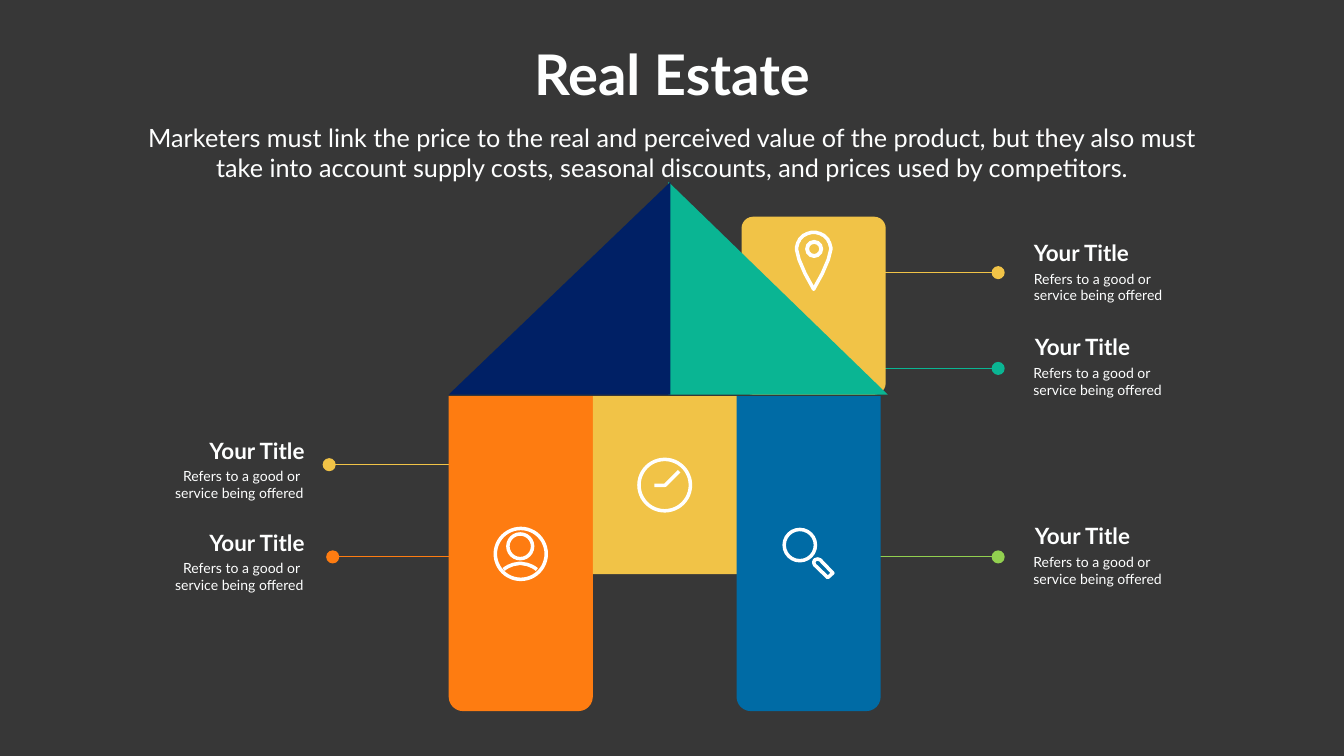
from dataclasses import dataclass
from math import cos, radians, sin

from pptx import Presentation
from pptx.dml.color import RGBColor
from pptx.enum.shapes import MSO_CONNECTOR, MSO_SHAPE
from pptx.enum.text import MSO_ANCHOR, MSO_AUTO_SIZE, PP_ALIGN
from pptx.oxml.ns import qn
from pptx.util import Pt
from lxml.etree import SubElement

PX = 9144  # 100 px to the inch
STROKE = 7
HEX = {"back": "373737", "white": "FEFFFF", "icon": "FFFFFF", "gold": "F1C347",
       "teal": "0AB593", "lime": "92D050", "orange": "FE7C11",
       "blue": "006BA5", "navy": "002065"}
FONTS = {
    "title": {"name": "Lato", "size": Pt(80), "bold": True},
    "intro": {"name": "Lato", "size": Pt(36), "bold": False},
    "head": {"name": "Lato", "size": Pt(32), "bold": True},
    "body": {"name": "Lato", "size": Pt(20), "bold": False},
}
INTRO = ("Marketers must link the price to the real and perceived value of the "
         "product, but they also must take into account supply costs, seasonal "
         "discounts, and prices used by competitors.")


@dataclass
class Note:
    """A label, with the dot and line that tie it to the house."""
    color: str
    wall: int
    dot: int
    level: int
    head: int
    body: int
    top: int
    align: PP_ALIGN = PP_ALIGN.LEFT


@dataclass
class Block:
    kind: MSO_SHAPE
    color: str
    box: tuple[int, int, int, int]
    curves: tuple[float, ...] = ()
    flip: bool = False


@dataclass
class Path:
    """A white stroke of an icon."""
    points: list[tuple[int, int]]
    close: bool = False


def arc(x: int, y: int, radius: int, start: int, end: int) -> list[tuple[int, int]]:
    """Points on a circle; 0 degrees is right and 90 is up."""
    return [(round(x + radius * cos(radians(a))), round(y - radius * sin(radians(a))))
            for a in range(start, end + 1, 6)]


def ring(x: int, y: int, size: int, width: int = STROKE) -> Block:
    return Block(MSO_SHAPE.DONUT, "icon", (x, y, size, size), (width / size,))


NOTES = [
    Note("gold", 1629, 1980, 541, 2041, 2041, 470),
    Note("gold", 1223, 653, 922, 384, 335, 862, PP_ALIGN.RIGHT),
    Note("teal", 1629, 1980, 731, 2043, 2040, 657),
    Note("lime", 1629, 1980, 1105, 2043, 2040, 1032),
    Note("orange", 1011, 660, 1105, 384, 335, 1045, PP_ALIGN.RIGHT),
]
WALLS = [
    Block(MSO_SHAPE.ROUND_2_SAME_RECTANGLE, "orange", (890, 786, 286, 625), (0, 0.1)),
    Block(MSO_SHAPE.RECTANGLE, "gold", (1176, 786, 286, 353)),
    Block(MSO_SHAPE.ROUNDED_RECTANGLE, "gold", (1471, 430, 286, 353), (0.08,)),
    Block(MSO_SHAPE.ROUND_2_SAME_RECTANGLE, "blue", (1461, 786, 286, 625), (0, 0.1)),
]
RINGS = [
    ring(979, 1045, 108), ring(1004, 1056, 56),  # person
    ring(1264, 908, 109),  # clock
    ring(1552, 1047, 69),  # lens
    ring(1597, 476, 36, 8),  # pin
]
PATHS = [
    Path(arc(1032, 1171, 53, 51, 129)),  # shoulders
    Path([(1298, 963), (1319, 963), (1347, 935)]),  # clock hands
    Path([(1616, 1111), (1622, 1109), (1627, 1111), (1652, 1137),
          (1642, 1146), (1616, 1121), (1614, 1116)], True),  # lens handle
    Path(arc(1614, 495, 34, 0, 180)
         + [(1585, 515), (1597, 543), (1614, 574), (1631, 543), (1643, 515)], True),
]
ROOF = [
    Block(MSO_SHAPE.RIGHT_TRIANGLE, "teal", (1326, 361, 435, 422)),
    Block(MSO_SHAPE.RIGHT_TRIANGLE, "navy", (890, 361, 440, 422), flip=True),
]


def tint(name: str) -> RGBColor:
    return RGBColor.from_string(HEX[name])


def place(shape, box: tuple[int, int, int, int]) -> None:
    for name, value in zip(("left", "top", "width", "height"), box):
        setattr(shape, name, value * PX)


def write(shape, lines: list[str], style: str, align: PP_ALIGN, wrap: bool = True) -> None:
    frame = shape.text_frame
    frame.text = "\n".join(lines)
    setup = {"word_wrap": wrap, "vertical_anchor": MSO_ANCHOR.TOP,
             "auto_size": MSO_AUTO_SIZE.SHAPE_TO_FIT_TEXT}
    for name, value in setup.items():
        setattr(frame, name, value)
    for para in frame.paragraphs:
        para.alignment = align
        font = para.runs[0].font
        for name, value in FONTS[style].items():
            setattr(font, name, value)
        font.color.rgb = tint("white")


def add_text(slide, box: tuple[int, int, int, int], lines: list[str],
             style: str, align: PP_ALIGN) -> None:
    shape = slide.shapes.add_textbox(0, 0, 0, 0)
    place(shape, box)
    write(shape, lines, style, align)


def add_block(slide, block: Block) -> None:
    shape = slide.shapes.add_shape(block.kind, *(n * PX for n in block.box))
    shape.shadow.inherit = False
    for i, curve in enumerate(block.curves):
        shape.adjustments[i] = curve
    shape.fill.solid()
    shape.fill.fore_color.rgb = tint(block.color)
    shape.line.fill.background()
    if block.flip:
        shape._element.spPr.find(qn("a:xfrm")).set("flipH", "1")


def add_path(slide, path: Path) -> None:
    pen = slide.shapes.build_freeform(*path.points[0], scale=PX)
    pen.add_line_segments(path.points[1:], close=path.close)
    shape = pen.convert_to_shape()
    shape.shadow.inherit = False
    shape.fill.background()
    shape.line.color.rgb = tint("icon")
    shape.line.width = STROKE * PX


def add_link(slide, note: Note) -> None:
    line = slide.shapes.add_connector(
        MSO_CONNECTOR.STRAIGHT, note.wall * PX, note.level * PX,
        note.dot * PX, note.level * PX)
    line.line.color.rgb = tint(note.color)
    line.line.width = Pt(1.45)
    SubElement(line._element.spPr, qn("a:effectLst"))
    add_block(slide, Block(MSO_SHAPE.OVAL, note.color,
                           (note.dot - 13, note.level - 13, 26, 26)))


def add_label(slide, note: Note) -> None:
    gap = " " if note.align == PP_ALIGN.RIGHT else ""
    add_text(slide, (note.head, note.top, 230, 64), ["Your Title"], "head", note.align)
    add_text(slide, (note.body, note.top + 61, 277, 77),
             ["Refers to a good or" + gap, "service being offered"], "body", note.align)


def main() -> None:
    deck = Presentation()
    deck.slide_width, deck.slide_height = 2666 * PX, 1500 * PX
    slide = deck.slides.add_slide(deck.slide_layouts[5])
    slide.background.fill.solid()
    slide.background.fill.fore_color.rgb = tint("back")

    title = slide.shapes.title
    place(title, (1042, 73, 582, 145))
    write(title, ["Real Estate"], "title", PP_ALIGN.CENTER, wrap=False)

    for note in NOTES:
        add_link(slide, note)
    for block in WALLS + RINGS:
        add_block(slide, block)
    for path in PATHS:
        add_path(slide, path)
    for note in NOTES:
        add_label(slide, note)
    add_text(slide, (268, 238, 2130, 131), [INTRO], "intro", PP_ALIGN.CENTER)
    for block in ROOF:
        add_block(slide, block)
    deck.save("out.pptx")


if __name__ == "__main__":
    main()
